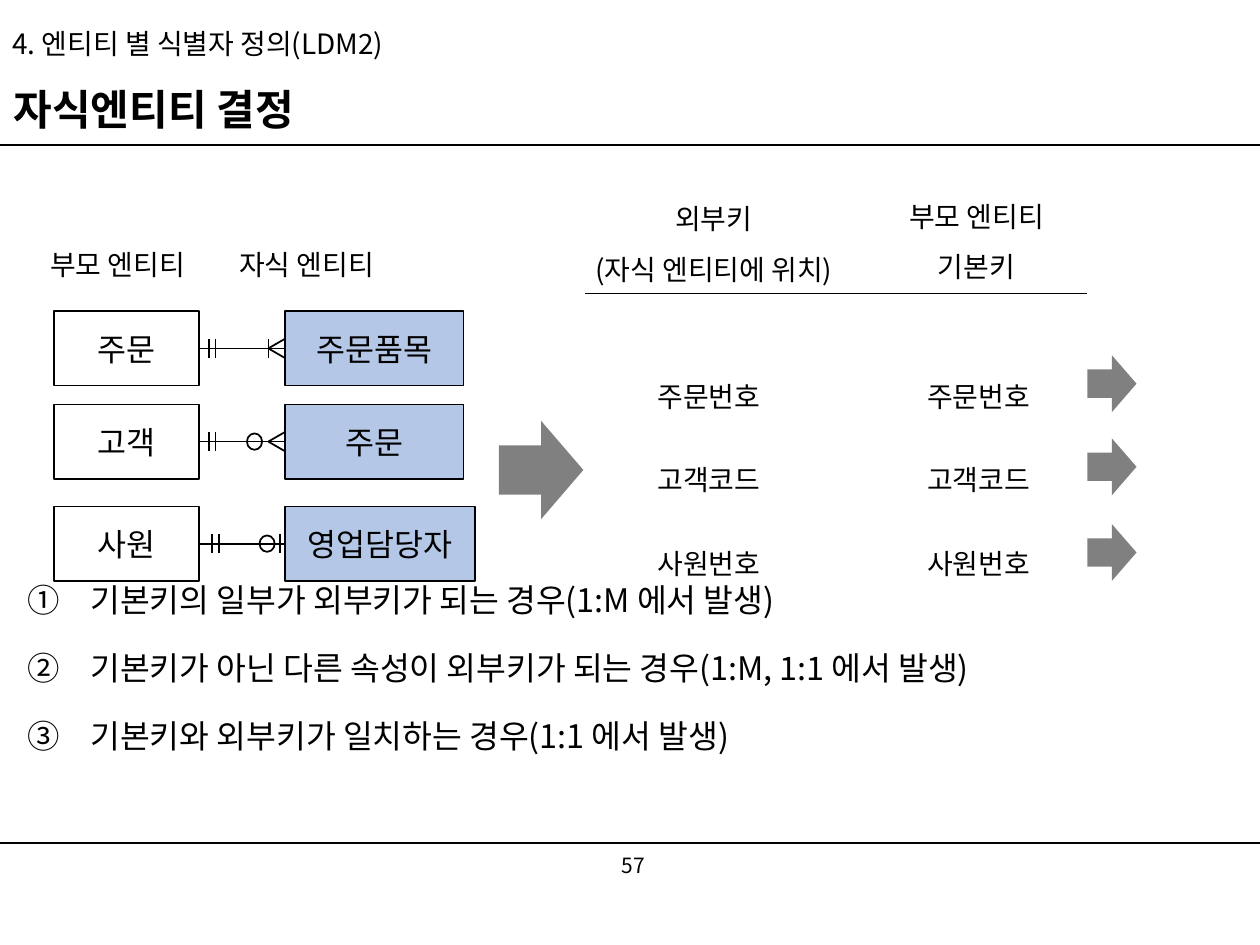
from lxml import etree
from pptx import Presentation
from pptx.dml.color import RGBColor
from pptx.enum.shapes import MSO_CONNECTOR, MSO_SHAPE
from pptx.enum.text import MSO_ANCHOR, PP_ALIGN
from pptx.oxml.ns import qn
from pptx.util import Inches, Pt

STRAIGHT = MSO_CONNECTOR.STRAIGHT
RECTANGLE = MSO_SHAPE.RECTANGLE
OVAL = MSO_SHAPE.OVAL
RIGHT_ARROW = MSO_SHAPE.RIGHT_ARROW
TOP, MIDDLE = MSO_ANCHOR.TOP, MSO_ANCHOR.MIDDLE
LEFT, CENTER = PP_ALIGN.LEFT, PP_ALIGN.CENTER

FONT = "Noto Sans CJK KR"
BLACK, WHITE, GRAY, BLUE = "000000", "FFFFFF", "808080", "B4C7E7"
PARENT_LEFT, PARENT_WIDTH = 0.43, 1.15
CHILD_LEFT = 2.26
ENTITY_HEIGHT = 0.59
MARK_HALF = 0.075
CIRCLE = 0.13


def color(value):
    return RGBColor.from_string(value)


class Painter:
    def __init__(self, page):
        self.page = page
        self.shapes = page.shapes

    def fill_text(self, frame, lines, size, align=LEFT, spacing=1.0, bold=False):
        frame.word_wrap = True
        frame.text = "\n".join(lines)
        for para in frame.paragraphs:
            para.alignment = align
            para.line_spacing = spacing
            font = para.font
            font.name = FONT
            font.size = Pt(size)
            font.bold = bold
            font.color.rgb = color(BLACK)
            properties = para._p.get_or_add_pPr().find(qn("a:defRPr"))
            etree.SubElement(properties, qn("a:ea"), typeface=FONT)

    def text(self, place, lines, size, anchor=TOP, **style):
        box = self.shapes.add_textbox(*map(Inches, place))
        frame = box.text_frame
        frame.vertical_anchor = anchor
        self.fill_text(frame, lines, size, **style)
        return frame

    def numbered(self, place, lines, size, spacing, gap):
        frame = self.text(place, lines, size, spacing=spacing)
        for para in frame.paragraphs:
            para.space_after = Pt(gap)
            properties = para._p.get_or_add_pPr()
            properties.set("marL", str(Inches(0.5)))
            properties.set("indent", str(-Inches(0.5)))
            bullet = etree.Element(qn("a:buAutoNum"), type="circleNumDbPlain")
            properties.find(qn("a:defRPr")).addprevious(bullet)

    def outline(self, shape, width=1):
        shape.line.color.rgb = color(BLACK)
        shape.line.width = Pt(width)

    def shape(self, kind, place, fill=None, outlined=True):
        shape = self.shapes.add_shape(kind, *map(Inches, place))
        shape.shadow.inherit = False
        if fill:
            shape.fill.solid()
            shape.fill.fore_color.rgb = color(fill)
        else:
            shape.fill.background()
        if outlined:
            self.outline(shape)
        else:
            shape.line.fill.background()
        return shape

    def entity(self, name, left, top, width, fill):
        entity = self.shape(RECTANGLE, (left, top, width, ENTITY_HEIGHT), fill)
        entity.text_frame.vertical_anchor = MIDDLE
        self.fill_text(entity.text_frame, [name], 18, align=CENTER)
        return entity

    def arrow(self, *place):
        self.shape(RIGHT_ARROW, place, GRAY, outlined=False)

    def line(self, x1, y1, x2, y2, width=1):
        line = self.shapes.add_connector(STRAIGHT, *map(Inches, (x1, y1, x2, y2)))
        self.outline(line, width)
        etree.SubElement(line._element.spPr, qn("a:effectLst"))
        return line

    def bar(self, x, y):
        self.line(x, y - MARK_HALF, x, y + MARK_HALF)

    def circle(self, left, y):
        self.shape(OVAL, (left, y - CIRCLE / 2, 0.12, CIRCLE))

    def crow_foot(self, y):
        builder = self.shapes.build_freeform(
            Inches(CHILD_LEFT), Inches(y + MARK_HALF))
        builder.add_line_segments(
            [(Inches(2.13), Inches(y)), (Inches(CHILD_LEFT), Inches(y - MARK_HALF))],
            close=False)
        foot = builder.convert_to_shape()
        foot.shadow.inherit = False
        foot.fill.background()
        self.outline(foot)

    def relation(self, parent, child, top, child_width, bars, circle, many):
        y = top + ENTITY_HEIGHT / 2
        source = self.entity(parent, PARENT_LEFT, top, PARENT_WIDTH, WHITE)
        target = self.entity(child, CHILD_LEFT, top, child_width, BLUE)
        link = self.line(PARENT_LEFT + PARENT_WIDTH, y, CHILD_LEFT, y)
        link.begin_connect(source, 3)
        link.end_connect(target, 1)
        for x in bars:
            self.bar(x, y)
        if circle:
            self.circle(circle, y)
        if many:
            self.crow_foot(y)


def main():
    deck = Presentation()
    deck.slide_width, deck.slide_height = Inches(10), Inches(7.5)
    painter = Painter(deck.slides.add_slide(deck.slide_layouts[6]))

    for y in (1.15, 6.69):
        painter.line(0, y, 10, y, 0.75)
    painter.text((3.9, 6.67, 2.25, 0.4), ["57"], 12, MIDDLE, align=CENTER)
    painter.text((0, 0.1, 10, 0.52), ["4. 엔티티 별 식별자 정의(LDM2)"], 16,
                 MIDDLE, spacing=0.9)
    painter.text((0.01, 0.63, 9.76, 0.52), ["자식엔티티 결정"], 24,
                 MIDDLE, spacing=0.9, bold=True)

    painter.text((0.3, 1.78, 3.42, 0.45), ["부모 엔티티\t자식 엔티티"], 16, spacing=1.5)
    relations = [
        ("주문", "주문품목", 2.47, 1.42, (1.66, 1.71, 2.13), None, True),
        ("고객", "주문", 3.21, 1.42, (1.66, 1.71), 1.96, True),
        ("사원", "영업담당자", 4.02, 1.51, (1.68, 1.74, 2.22), 2.06, False),
    ]
    for relation in relations:
        painter.relation(*relation)

    painter.arrow(3.96, 3.34, 0.67, 0.78)
    for top in (2.82, 3.48, 4.16):
        painter.arrow(8.63, top, 0.39, 0.45)

    key_columns = [
        (4.52, 2.29, ["외부키", "(자식 엔티티에 위치)"], TOP, 5.12),
        (7.05, 1.4, ["부모 엔티티", "기본키"], MIDDLE, 7.26),
    ]
    keys = ["주문번호", "고객코드", "사원번호"]
    for left, width, heading, anchor, key_left in key_columns:
        painter.text((left, 1.42, width, 0.86), heading, 16, anchor,
                     align=CENTER, spacing=1.5)
        painter.text((key_left, 2.56, 1.1, 2), keys, 16, spacing=2.5)
    painter.line(4.64, 2.33, 8.63, 2.33)

    cases = [
        "기본키의 일부가 외부키가 되는 경우(1:M 에서 발생)",
        "기본키가 아닌 다른 속성이 외부키가 되는 경우(1:M, 1:1 에서 발생)",
        "기본키와 외부키가 일치하는 경우(1:1 에서 발생)",
    ]
    painter.numbered((0.12, 4.46, 9.76, 2.05), cases, 18.5, 1.3, 10)

    deck.save("out.pptx")


if __name__ == "__main__":
    main()
